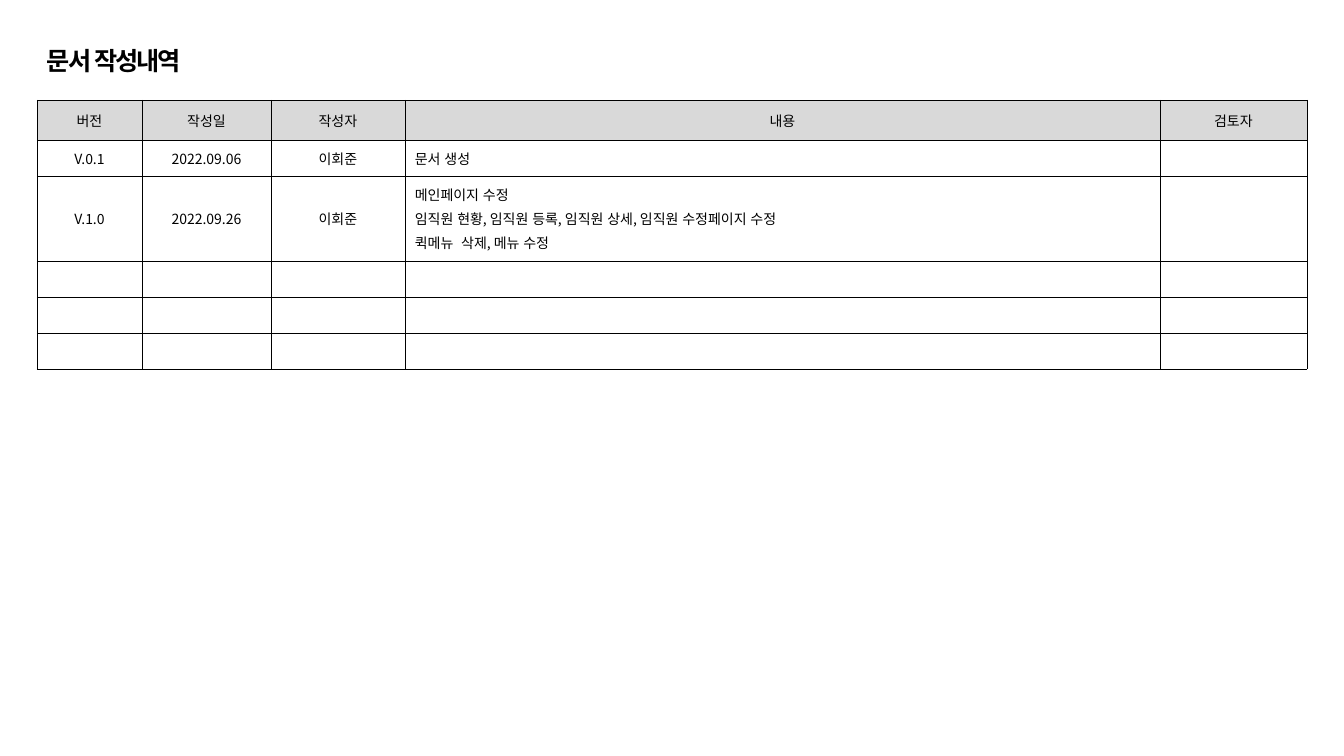
from lxml import etree
from pptx import Presentation
from pptx import util as u
from pptx.dml.color import RGBColor
from pptx.enum import lang, text
from pptx.oxml import ns

PX = 914400 / 100.8
FONT = "Noto Sans CJK KR"
BLACK, WHITE, GREY = "000000", "FFFFFF", "D9D9D9"

COLUMN_WIDTHS = [105, 129, 134, 755, 147]
ROW_HEIGHTS = [40, 36, 85, 36, 36, 36]
CONTENT_COLUMN = 3
HISTORY = [
    ["버전", "작성일", "작성자", "내용", "검토자"],
    ["V.0.1", "2022.09.06", "이회준", "문서 생성", ""],
    ["V.1.0", "2022.09.26", "이회준",
     "메인페이지 수정\n"
     "임직원 현황, 임직원 등록, 임직원 상세, 임직원 수정페이지 수정\n"
     "퀵메뉴  삭제, 메뉴 수정", ""],
    [""] * 5,
    [""] * 5,
    [""] * 5,
]


def px(length):
    return u.Emu(round(length * PX))


def colour(value):
    return RGBColor.from_string(value)


def add_child(parent, tag, **attributes):
    return etree.SubElement(parent, ns.qn(tag), attributes)


def add_span(para, words, size, bold=False):
    span = para.add_run()
    span.text = words
    span.font.size = u.Pt(size)
    span.font.name = FONT
    span.font.bold = bold
    span.font.color.rgb = colour(BLACK)
    span.font.language_id = lang.MSO_LANGUAGE_ID.KOREAN
    properties = span.font._element
    add_child(properties, "a:ea", typeface=FONT)
    return properties


def set_insets(target, left, top, right, bottom):
    target.margin_left, target.margin_top = px(left), px(top)
    target.margin_right, target.margin_bottom = px(right), px(bottom)


def add_title(page, left, top, width, height):
    box = page.shapes.title
    box.left, box.top, box.width, box.height = map(px, (left, top, width, height))
    frame = box.text_frame
    frame.word_wrap = False
    frame.auto_size = text.MSO_AUTO_SIZE.SHAPE_TO_FIT_TEXT
    frame.vertical_anchor = text.MSO_ANCHOR.TOP
    set_insets(frame, 10, 5, 10, 5)
    para = frame.paragraphs[0]
    para.alignment = text.PP_ALIGN.LEFT
    add_span(para, "문서 작성내역", 18, bold=True).set("spc", "-150")


def add_borders(cell):
    properties = cell._tc.get_or_add_tcPr()
    for side in ("a:lnL", "a:lnR", "a:lnT", "a:lnB"):
        line = add_child(properties, side, w=str(u.Pt(0.25)))
        add_child(add_child(line, "a:solidFill"), "a:srgbClr", val=BLACK)


def fill_cell(cell, words, is_header, is_content):
    add_borders(cell)
    cell.fill.solid()
    cell.fill.fore_color.rgb = colour(GREY if is_header else WHITE)
    cell.vertical_anchor = text.MSO_ANCHOR.MIDDLE
    if is_header:
        set_insets(cell, 10, 10, 10, 10)
    else:
        set_insets(cell, 10 if is_content else 5, 8, 5, 8)

    frame = cell.text_frame
    if not words:
        # Keep empty rows at the height of the small text
        add_child(frame.paragraphs[0]._p, "a:endParaRPr", sz="1000")
        return
    for number, line in enumerate(words.split("\n")):
        para = frame.add_paragraph() if number else frame.paragraphs[0]
        if is_content and not is_header:
            para.alignment = text.PP_ALIGN.LEFT
            para.space_before = u.Pt(3)
        else:
            para.alignment = text.PP_ALIGN.CENTER
        add_span(para, line, 10)


def add_history_table(page, left, top):
    frame = page.shapes.add_table(
        len(ROW_HEIGHTS), len(COLUMN_WIDTHS), px(left), px(top),
        px(sum(COLUMN_WIDTHS)), px(sum(ROW_HEIGHTS)))
    table = frame.table
    table.horz_banding = False
    for column, width in zip(table.columns, COLUMN_WIDTHS):
        column.width = px(width)
    for row, height in zip(table.rows, ROW_HEIGHTS):
        row.height = px(height)
    for r, entry in enumerate(HISTORY):
        for c, words in enumerate(entry):
            fill_cell(table.cell(r, c), words, r == 0, c == CONTENT_COLUMN)


def main():
    deck = Presentation()
    deck.slide_width, deck.slide_height = px(1344), px(756)
    page = deck.slides.add_slide(deck.slide_layouts.get_by_name("Title Only"))
    page.background.fill.solid()
    page.background.fill.fore_color.rgb = colour(WHITE)

    # Heading
    add_title(page, 37, 40, 167, 40)
    # Revision history
    add_history_table(page, 37, 100)

    deck.save("out.pptx")


if __name__ == "__main__":
    main()
